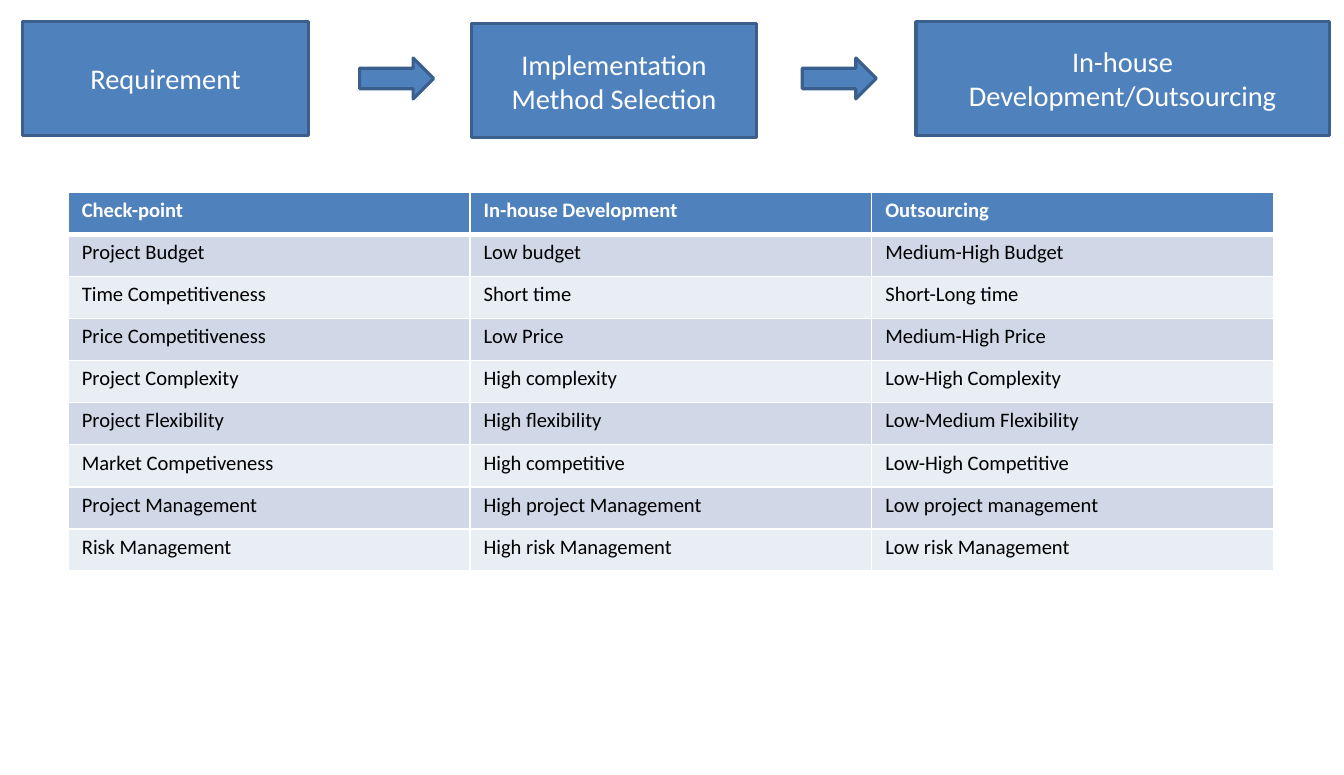
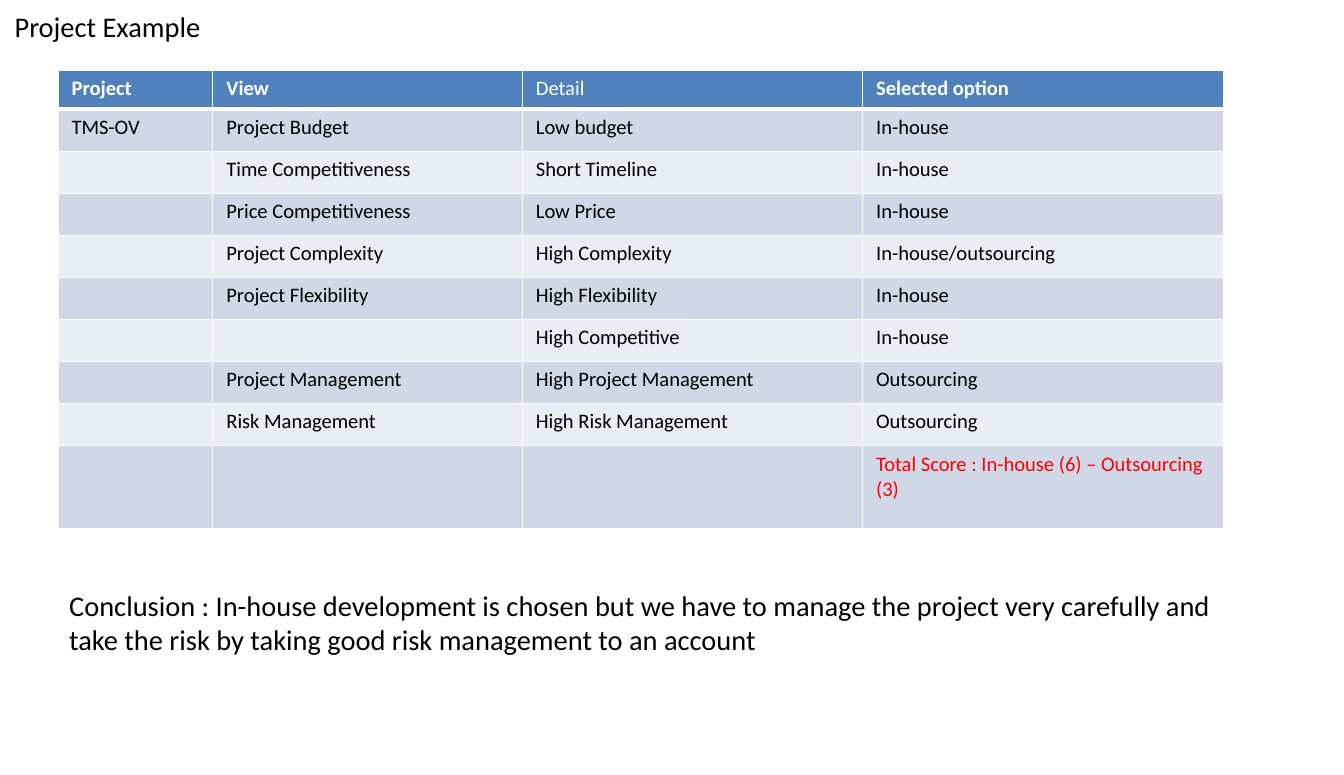
from dataclasses import dataclass

from lxml import etree
from pptx import Presentation
from pptx import util as u
from pptx.dml.color import RGBColor
from pptx.enum import shapes, text
from pptx.oxml import ns

FONT = "Calibri"
BLUE = RGBColor(0x4F, 0x81, 0xBD)
EDGE = RGBColor(0x3A, 0x5F, 0x8C)
BAND_DARK = RGBColor(0xD0, 0xD8, 0xE8)
BAND_LIGHT = RGBColor(0xE9, 0xED, 0xF4)
WHITE = RGBColor(0xFF, 0xFF, 0xFF)
BLACK = RGBColor(0x00, 0x00, 0x00)
RED = RGBColor(0xFF, 0x00, 0x00)
LARGE, SMALL = 18, 13
ROW_HEIGHT = 0.37


@dataclass(frozen=True)
class Block:
    left: float
    top: float
    width: float
    height: float
    label: str = ""
    kind: shapes.MSO_SHAPE = shapes.MSO_SHAPE.RECTANGLE


@dataclass(frozen=True)
class Grid:
    left: float
    top: float
    cols: list[float]
    heights: list[float]
    rows: list[tuple[str, ...]]


FLOW = [
    Block(0.2, 0.19, 2.51, 1, "Requirement"),
    Block(8.05, 0.19, 3.63, 1, "In-house Development/Outsourcing"),
    Block(3.16, 0.51, 0.65, 0.36, kind=shapes.MSO_SHAPE.RIGHT_ARROW),
    Block(7.05, 0.51, 0.65, 0.36, kind=shapes.MSO_SHAPE.RIGHT_ARROW),
    Block(4.14, 0.21, 2.51, 1, "Implementation Method Selection"),
]

CHECKPOINTS = Grid(0.6, 1.69, [3.53] * 3, [ROW_HEIGHT] * 9, [
    ("Check-point", "In-house Development", "Outsourcing"),
    ("Project Budget", "Low budget", "Medium-High Budget"),
    ("Time Competitiveness", "Short time", "Short-Long time"),
    ("Price Competitiveness", "Low Price", "Medium-High Price"),
    ("Project Complexity", "High complexity", "Low-High Complexity"),
    ("Project Flexibility", "High flexibility", "Low-Medium Flexibility"),
    ("Market Competiveness", "High competitive", "Low-High Competitive"),
    ("Project Management", "High project Management", "Low project management"),
    ("Risk Management", "High risk Management", "Low risk Management"),
])

EXAMPLE = Grid(0.51, 0.62, [1.36, 2.72, 2.99, 3.17], [0.34] + [ROW_HEIGHT] * 8 + [0.73], [
    ("Project", "View", "Detail", "Selected option"),
    ("TMS-OV", "Project Budget", "Low budget", "In-house"),
    ("", "Time Competitiveness", "Short Timeline", "In-house"),
    ("", "Price Competitiveness", "Low Price", "In-house"),
    ("", "Project Complexity", "High Complexity", "In-house/outsourcing"),
    ("", "Project Flexibility", "High Flexibility", "In-house"),
    ("", "", "High Competitive", "In-house"),
    ("", "Project Management", "High Project Management", "Outsourcing"),
    ("", "Risk Management", "High Risk Management", "Outsourcing"),
    ("", "", "", "Total Score : In-house (6) – Outsourcing (3)"),
])

NOTES = [
    Block(0.03, 0.03, 2.38, 0.4, "Project Example"),
    Block(0.51, 5.12, 10.6, 0.71,
          "Conclusion : In-house development is chosen but we have to manage the project "
          "very carefully and take the risk by taking good risk management to an account"),
]


def write(tf, label: str, size: int, color: RGBColor, bold: bool = False) -> None:
    tf.text = label
    p = tf.paragraphs[0]
    if not label:
        etree.SubElement(p._p, ns.qn("a:endParaRPr"), sz=str(size * 100))
    for r in p.runs:
        r.font.name = FONT
        r.font.size = u.Pt(size)
        r.font.bold = bold
        r.font.color.rgb = color


def box(block: Block) -> tuple[int, ...]:
    return tuple(map(u.Inches, (block.left, block.top, block.width, block.height)))


def add_block(s, block: Block) -> None:
    sp = s.shapes.add_shape(block.kind, *box(block))
    sp.shadow.inherit = False
    sp.fill.solid()
    sp.fill.fore_color.rgb = BLUE
    sp.line.color.rgb = EDGE
    sp.line.width = u.Pt(2)
    if block.label:
        tf = sp.text_frame
        tf.word_wrap = True
        tf.vertical_anchor = text.MSO_ANCHOR.MIDDLE
        write(tf, block.label, LARGE, WHITE)
        tf.paragraphs[0].alignment = text.PP_ALIGN.CENTER


def add_note(s, note: Block) -> None:
    tf = s.shapes.add_textbox(*box(note)).text_frame
    tf.word_wrap = True
    tf.auto_size = text.MSO_AUTO_SIZE.SHAPE_TO_FIT_TEXT
    write(tf, note.label, LARGE, BLACK)


def set_borders(cell, top: int, bottom: int) -> None:
    tc_pr = cell._tc.get_or_add_tcPr()
    for side, width in (("L", 1), ("R", 1), ("T", top), ("B", bottom)):
        ln = etree.SubElement(tc_pr, ns.qn(f"a:ln{side}"), w=str(u.Pt(width)))
        fill = etree.SubElement(ln, ns.qn("a:solidFill"))
        etree.SubElement(fill, ns.qn("a:srgbClr"), val=str(WHITE))


def add_grid(s, grid: Grid) -> None:
    frame = s.shapes.add_table(
        len(grid.rows), len(grid.cols), u.Inches(grid.left), u.Inches(grid.top),
        u.Inches(sum(grid.cols)), u.Inches(sum(grid.heights)))
    table = frame.table
    for col, width in zip(table.columns, grid.cols):
        col.width = u.Inches(width)
    for row, height in zip(table.rows, grid.heights):
        row.height = u.Inches(height)
    for i, labels in enumerate(grid.rows):
        header = i == 0
        band = BLUE if header else (BAND_LIGHT, BAND_DARK)[i % 2]
        for j, label in enumerate(labels):
            cell = table.cell(i, j)
            cell.margin_left = cell.margin_right = u.Inches(0.12)
            cell.margin_top = cell.margin_bottom = u.Inches(0.05)
            set_borders(cell, 3 if i == 1 else 1, 3 if header else 1)
            cell.fill.solid()
            cell.fill.fore_color.rgb = band
            color = WHITE if header else RED if label.startswith("Total") else BLACK
            write(cell.text_frame, label, SMALL, color, header and label != "Detail")


def main() -> None:
    prs = Presentation()
    prs.slide_width, prs.slide_height = u.Inches(11.81), u.Inches(6.81)
    blank = prs.slide_layouts[6]

    s = prs.slides.add_slide(blank)
    for block in FLOW:
        add_block(s, block)
    add_grid(s, CHECKPOINTS)

    s = prs.slides.add_slide(blank)
    add_grid(s, EXAMPLE)
    for note in NOTES:
        add_note(s, note)

    prs.save("out.pptx")


if __name__ == "__main__":
    main()
